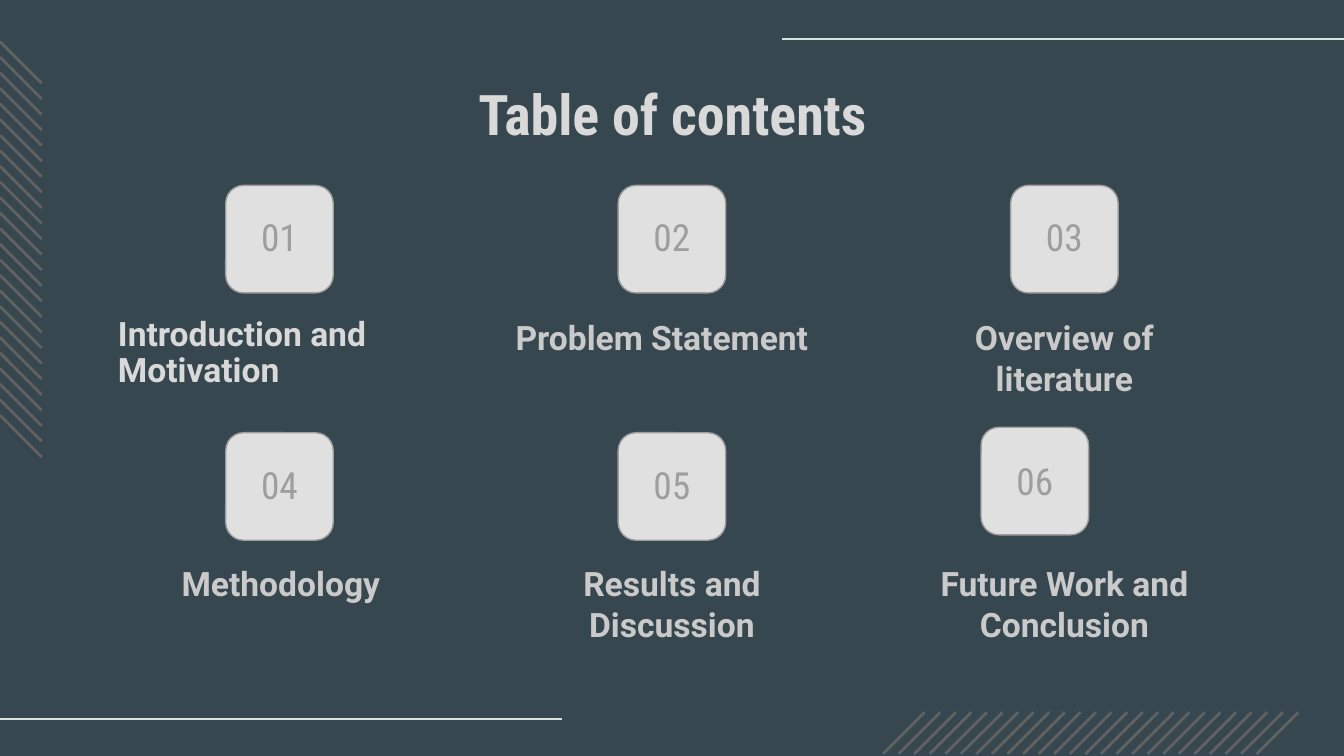
"""Build the table of contents slide."""
from lxml import etree
from pptx import Presentation
from pptx.dml.color import RGBColor
from pptx.enum.shapes import MSO_CONNECTOR, MSO_SHAPE
from pptx.enum.text import MSO_ANCHOR, PP_ALIGN
from pptx.oxml.ns import qn
from pptx.util import Inches, Pt

STRAIGHT = MSO_CONNECTOR.STRAIGHT
ROUNDED = MSO_SHAPE.ROUNDED_RECTANGLE
TOP, MIDDLE, BOTTOM = MSO_ANCHOR.TOP, MSO_ANCHOR.MIDDLE, MSO_ANCHOR.BOTTOM
LEFT, CENTER = PP_ALIGN.LEFT, PP_ALIGN.CENTER

COLORS = {
    "background": "37474F",
    "hatch": "616161",
    "rule": "E0E0E0",
    "tile": "E0E0E0",
    "number": "9E9E9E",
    "title": "D9D9D9",
    "label": "CACACA",
}
HEADING_FONT = "Roboto Condensed"
LABEL_FONT = "Roboto"
TILE_SIZE = 0.8
HATCH_COUNT = 25
HATCH_STEP = 2.78 / (HATCH_COUNT - 1)
HATCH_SIZE = 0.31
COLUMNS = (1.68, 4.6, 7.52)
ROWS = (1.38, 3.22)


def color(name):
    """Return the named colour."""
    return RGBColor.from_string(COLORS[name])


def add_line(page, start, end, color_name, width):
    """Draw a straight line without a shadow."""
    line = page.shapes.add_connector(
        STRAIGHT, *(Inches(value) for value in (*start, *end)))
    line.line.color.rgb = color(color_name)
    line.line.width = Pt(width)
    etree.SubElement(line._element.spPr, qn("a:effectLst"))


def add_hatching(page):
    """Draw the diagonal strokes on the left and bottom edges."""
    offsets = [index * HATCH_STEP for index in range(HATCH_COUNT)]
    for top in (0.31 + offset for offset in offsets):
        add_line(page, (0, top), (HATCH_SIZE, top + HATCH_SIZE), "hatch", 1.5)
    for left in (6.57 + offset for offset in offsets):
        add_line(page, (left, 5.61), (left + HATCH_SIZE, 5.3), "hatch", 1.5)


def write(box, text, size, font, color_name, bold=False, anchor=TOP,
          align=CENTER, spacing=None):
    """Fill a shape with one styled paragraph."""
    frame = box.text_frame
    frame.word_wrap = True
    frame.vertical_anchor = anchor
    frame.margin_left = frame.margin_right = Inches(0.1)
    frame.margin_top = frame.margin_bottom = Inches(0.1)
    para = frame.paragraphs[0]
    para.alignment = align
    para.line_spacing = spacing
    span = para.add_run()
    span.text = text
    span.font.size = Pt(size)
    span.font.name = font
    span.font.bold = bold
    span.font.color.rgb = color(color_name)


def add_text(page, area, text, *style, **options):
    """Add a text box."""
    box = page.shapes.add_textbox(*(Inches(value) for value in area))
    write(box, text, *style, **options)


def add_tile(page, left, top):
    """Add a rounded number tile."""
    tile = page.shapes.add_shape(
        ROUNDED, Inches(left), Inches(top), Inches(TILE_SIZE), Inches(TILE_SIZE))
    tile.shadow.inherit = False
    tile.fill.solid()
    tile.fill.fore_color.rgb = color("tile")
    tile.line.color.rgb = color("number")
    tile.line.width = Pt(0.75)
    return tile


def add_label(page, area, text, color_name="label", **options):
    """Add a section name."""
    add_text(page, area, text, 18, LABEL_FONT, color_name, bold=True, **options)


def main():
    """Build and save the deck."""
    deck = Presentation()
    deck.slide_width = Inches(10)
    deck.slide_height = Inches(10) * 9 // 16
    page = deck.slides.add_slide(deck.slide_layouts[6])
    page.background.fill.solid()
    page.background.fill.fore_color.rgb = color("background")

    add_hatching(page)
    add_line(page, (10, 0.29), (5.82, 0.29), "rule", 0.75)
    add_line(page, (4.18, 5.35), (0, 5.35), "rule", 0.75)
    add_text(page, (0.79, 0.49, 8.43, 0.63), "Table of contents",
             30, HEADING_FONT, "title", bold=True)

    number_style = (20, HEADING_FONT, "number")
    places = [(left, top) for top in ROWS for left in COLUMNS]
    for number, (left, top) in enumerate(places[:-1], 1):
        add_tile(page, left, top)
        add_text(page, (left, top + 0.16, TILE_SIZE, 0.49), f"{number:02}",
                 *number_style, anchor=BOTTOM)
    write(add_tile(page, 7.3, 3.18), "06", *number_style, anchor=MIDDLE)

    add_label(page, (0.78, 2.26, 2.6, 0.8), "Introduction and Motivation",
              "title", align=LEFT, spacing=0.9)
    for area, text in (
        ((3.23, 2.26, 3.39, 0.7), "Problem Statement"),
        ((6.62, 2.26, 2.6, 0.7), "Overview of literature"),
        ((0.79, 4.09, 2.6, 0.7), "Methodology"),
        ((3.7, 4.09, 2.6, 0.7), "Results and Discussion"),
        ((6.28, 4.09, 3.28, 0.5), "Future Work and Conclusion"),
    ):
        add_label(page, area, text)

    deck.save("out.pptx")


if __name__ == "__main__":
    main()
